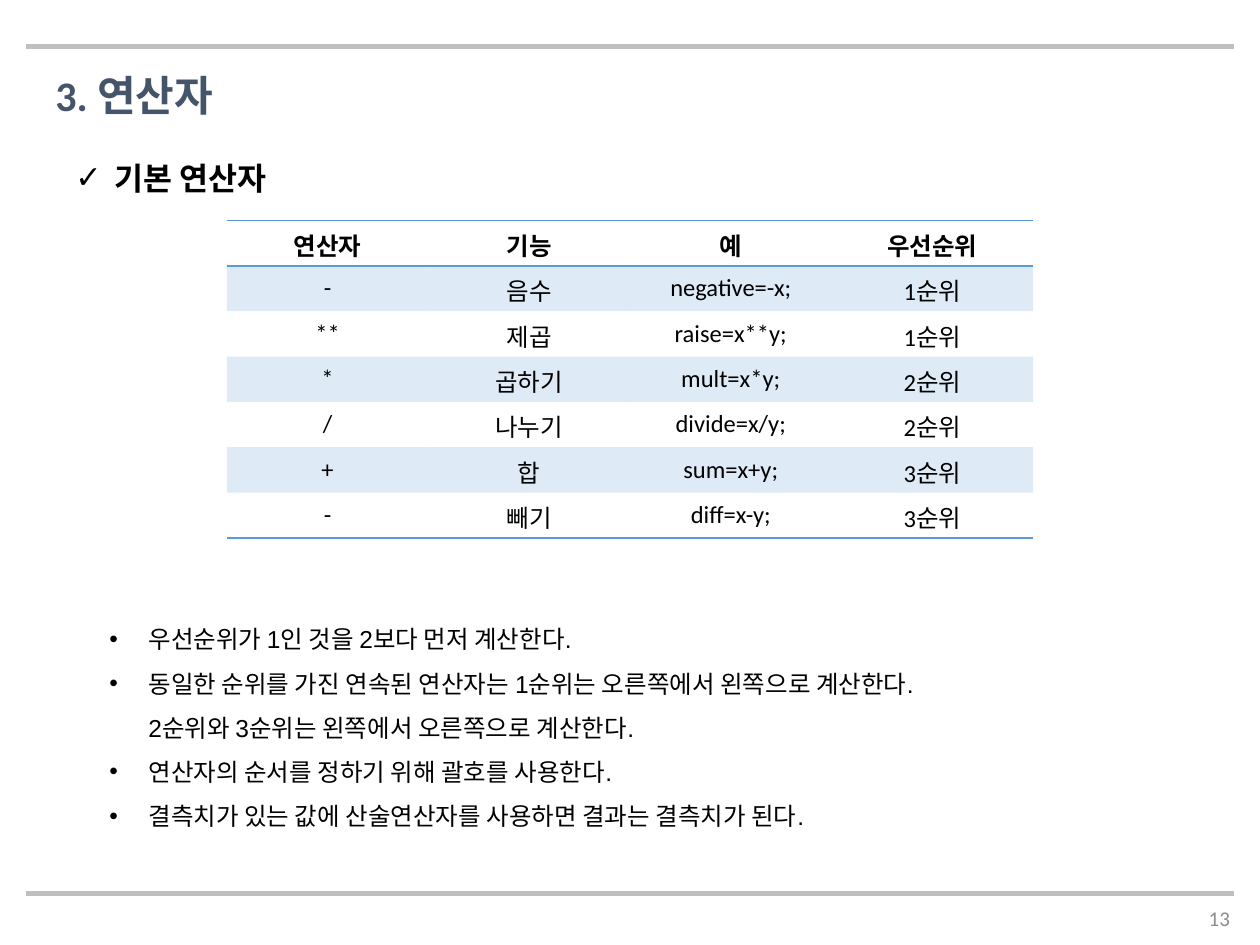
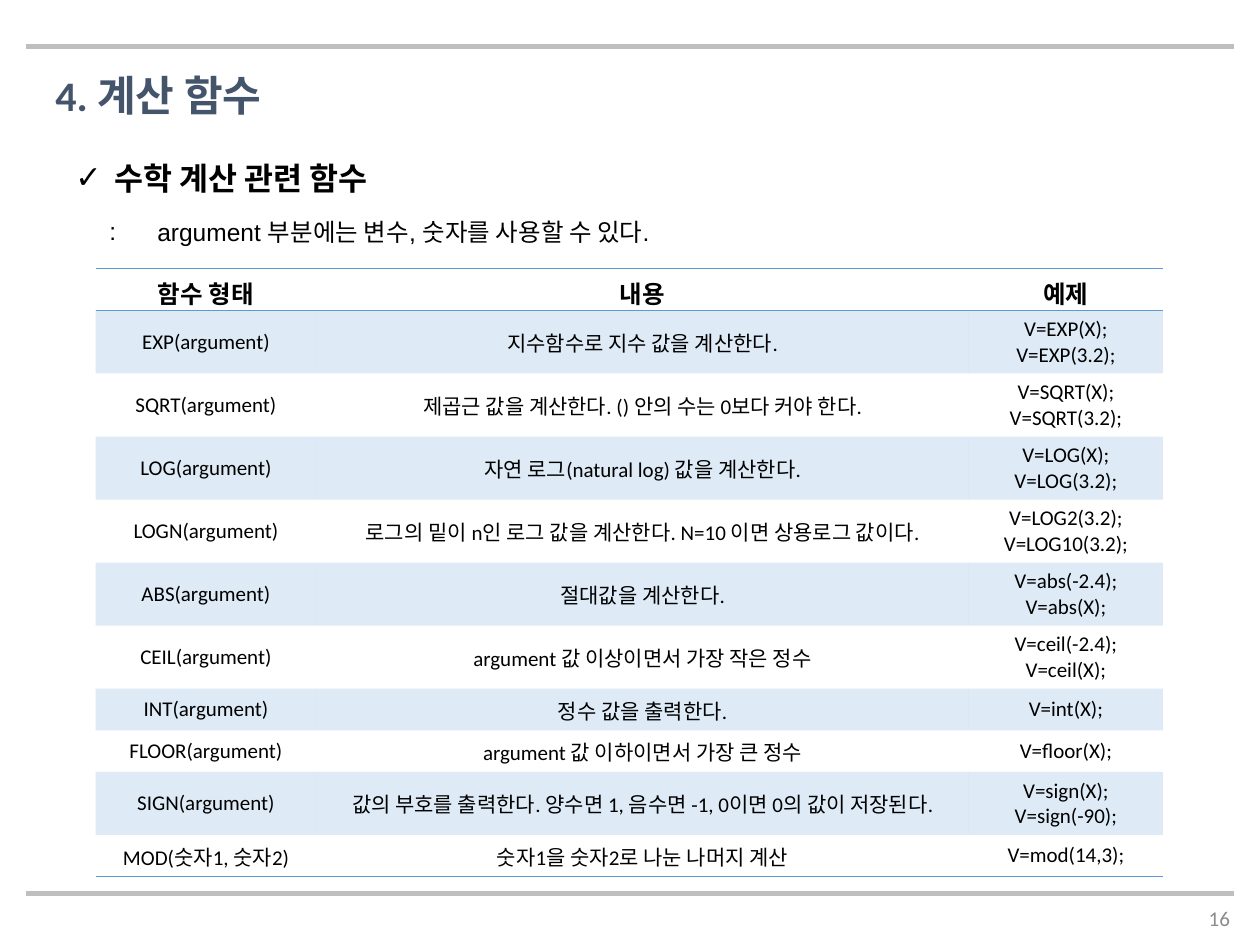
import dataclasses

import pptx
import pptx.dml.color
import pptx.enum.shapes
import pptx.enum.text
import pptx.oxml
import pptx.oxml.ns
import pptx.util

Inches = pptx.util.Inches
Pt = pptx.util.Pt
ALIGN = pptx.enum.text.PP_ALIGN
ANCHOR = pptx.enum.text.MSO_ANCHOR
NAMESPACE = pptx.oxml.ns.nsdecls("a")
PLAIN_TABLE_STYLE = "{2D5ABB26-0587-4C30-8999-92F81FD0307C}"


@dataclasses.dataclass(frozen=True)
class Theme:
    title_color: str = "44546A"
    text_color: str = "000000"
    number_color: str = "8C8C8C"
    rule_color: str = "BFBFBF"
    accent: str = "5B9BD5"
    band_opacity: int = 20
    title_font: str = "Calibri"
    table_font: str = "Calibri"
    body_font: str = "Arial"
    title_size: int = 24
    heading_size: int = 18
    body_size: int = 14
    small_size: int = 12
    rule_width: int = 3
    border_width: int = 1
    line_spacing: float = 1.5


THEME = Theme()

OPERATORS = [
    ["연산자", "기능", "예", "우선순위"],
    ["-", "음수", "negative=-x;", "1순위"],
    ["**", "제곱", "raise=x**y;", "1순위"],
    ["*", "곱하기", "mult=x*y;", "2순위"],
    ["/", "나누기", "divide=x/y;", "2순위"],
    ["+", "합", "sum=x+y;", "3순위"],
    ["-", "빼기", "diff=x-y;", "3순위"],
]

OPERATOR_RULES = [
    "우선순위가 1인 것을 2보다 먼저 계산한다.",
    "동일한 순위를 가진 연속된 연산자는 1순위는 오른쪽에서 왼쪽으로 계산한다.\n"
    "2순위와 3순위는 왼쪽에서 오른쪽으로 계산한다.",
    "연산자의 순서를 정하기 위해 괄호를 사용한다.",
    "결측치가 있는 값에 산술연산자를 사용하면 결과는 결측치가 된다.",
]

FUNCTIONS = [
    ["함수 형태", "내용", "예제"],
    ["EXP(argument)", "지수함수로 지수 값을 계산한다.", "V=EXP(X);\nV=EXP(3.2);"],
    ["SQRT(argument)", "제곱근 값을 계산한다. () 안의 수는 0보다 커야 한다.",
     "V=SQRT(X);\nV=SQRT(3.2);"],
    ["LOG(argument)", "자연 로그(natural log) 값을 계산한다.", "V=LOG(X);\nV=LOG(3.2);"],
    ["LOGN(argument)", "로그의 밑이 n인 로그 값을 계산한다. N=10 이면 상용로그 값이다.",
     "V=LOG2(3.2);\nV=LOG10(3.2);"],
    ["ABS(argument)", "절대값을 계산한다.", "V=abs(-2.4);\nV=abs(X);"],
    ["CEIL(argument)", "argument 값 이상이면서 가장 작은 정수", "V=ceil(-2.4);\nV=ceil(X);"],
    ["INT(argument)", "정수 값을 출력한다.", "V=int(X);"],
    ["FLOOR(argument)", "argument 값 이하이면서 가장 큰 정수", "V=floor(X);"],
    ["SIGN(argument)", "값의 부호를 출력한다. 양수면 1, 음수면 -1, 0이면 0의 값이 저장된다.",
     "V=sign(X);\nV=sign(-90);"],
    ["MOD(숫자1, 숫자2)", "숫자1을 숫자2로 나눈 나머지 계산", "V=mod(14,3);"],
]


def rgb(color):
    return pptx.dml.color.RGBColor.from_string(color)


def add_run(paragraph, text, font, size, color, bold=False):
    run = paragraph.add_run()
    run.text = text
    run.font.name = font
    run.font.size = Pt(size)
    run.font.bold = bold
    run.font.color.rgb = rgb(color)


def add_text_frame(slide, box, grow=True):
    shape = slide.shapes.add_textbox(*map(Inches, box))
    frame = shape.text_frame
    frame.word_wrap = True
    if grow:
        frame.auto_size = pptx.enum.text.MSO_AUTO_SIZE.SHAPE_TO_FIT_TEXT
    return frame


def paragraphs_for(frame, texts):
    """Yield each text with its paragraph, reusing the frame's first one."""
    for index, text in enumerate(texts):
        yield frame.add_paragraph() if index else frame.paragraphs[0], text


def add_list(slide, box, items, bullet, size, indent=0.31, bold=False):
    frame = add_text_frame(slide, box)
    for paragraph, item in paragraphs_for(frame, items):
        paragraph.line_spacing = THEME.line_spacing
        properties = paragraph._p.get_or_add_pPr()
        properties.set("marL", str(Inches(indent)))
        properties.set("indent", str(-Inches(indent)))
        for element in (f'<a:buFont {NAMESPACE} typeface="{THEME.body_font}"/>',
                        f'<a:buChar {NAMESPACE} char="{bullet}"/>'):
            properties.append(pptx.oxml.parse_xml(element))
        for index, line in enumerate(item.split("\n")):
            if index:
                paragraph.add_line_break()
            add_run(paragraph, line, THEME.body_font, size, THEME.text_color, bold)


def add_rule(slide, top):
    left, right = Inches(0.21), Inches(9.79)
    rule = slide.shapes.add_connector(
        pptx.enum.shapes.MSO_CONNECTOR.STRAIGHT, left, Inches(top), right, Inches(top))
    rule.line.color.rgb = rgb(THEME.rule_color)
    rule.line.width = Pt(THEME.rule_width)
    rule._element.spPr.append(pptx.oxml.parse_xml(f"<a:effectLst {NAMESPACE}/>"))


def add_page(presentation, number, title, heading, heading_box):
    """Add a slide with the rules, page number, title and heading all pages share."""
    slide = presentation.slides.add_slide(presentation.slide_layouts[6])
    frame = add_text_frame(slide, (9.41, 7.09, 0.45, 0.4), grow=False)
    frame.vertical_anchor = ANCHOR.MIDDLE
    paragraph = frame.paragraphs[0]
    paragraph.alignment = ALIGN.RIGHT
    add_run(paragraph, str(number), THEME.title_font, THEME.small_size, THEME.number_color)
    for top in (7.09, 0.37):
        add_rule(slide, top)
    frame = add_text_frame(slide, (0.34, 0.5, 6.11, 0.5))
    add_run(frame.paragraphs[0], title, THEME.title_font, THEME.title_size,
            THEME.title_color, bold=True)
    add_list(slide, heading_box, [heading], "✓", THEME.heading_size, bold=True)
    return slide


def add_border(cell, side):
    """Draw an accent border; call before filling the cell, as the schema wants."""
    cell._tc.get_or_add_tcPr().append(pptx.oxml.parse_xml(
        f'<a:ln{side} {NAMESPACE} w="{Pt(THEME.border_width)}"><a:solidFill>'
        f'<a:srgbClr val="{THEME.accent}"/></a:solidFill></a:ln{side}>'))


def fill_cell(cell, banded):
    if not banded:
        cell.fill.background()
        return
    cell.fill.solid()
    cell.fill.fore_color.rgb = rgb(THEME.accent)
    color = cell._tc.tcPr.find(".//" + pptx.oxml.ns.qn("a:solidFill") + "/"
                               + pptx.oxml.ns.qn("a:srgbClr"))
    color.append(pptx.oxml.parse_xml(
        f'<a:alpha {NAMESPACE} val="{THEME.band_opacity * 1000}"/>'))


def add_banded_table(slide, left, top, widths, heights, rows, body_size,
                     header_anchor=ANCHOR.MIDDLE):
    box = map(Inches, (left, top, sum(widths), sum(heights)))
    graphic = slide.shapes.add_table(len(rows), len(widths), *box)
    table = graphic.table
    table.horz_banding = False
    table._tbl.tblPr.find(pptx.oxml.ns.qn("a:tableStyleId")).text = PLAIN_TABLE_STYLE
    for column, width in zip(table.columns, widths):
        column.width = Inches(width)
    for row, height in zip(table.rows, heights):
        row.height = Inches(height)

    for row_index, row in enumerate(rows):
        header = row_index == 0
        for column_index, text in enumerate(row):
            cell = table.cell(row_index, column_index)
            cell.vertical_anchor = header_anchor if header else ANCHOR.MIDDLE
            if header:
                add_border(cell, "T")
            if header or row_index == len(rows) - 1:
                add_border(cell, "B")
            fill_cell(cell, banded=row_index % 2 == 1)
            for paragraph, line in paragraphs_for(cell.text_frame, text.split("\n")):
                paragraph.alignment = ALIGN.CENTER
                add_run(paragraph, line, THEME.table_font,
                        THEME.body_size if header else body_size,
                        THEME.text_color, bold=header)


def build_operator_slide(presentation):
    slide = add_page(presentation, 13, "3. 연산자", "기본 연산자", (0.5, 1.06, 2.1, 0.5))
    add_list(slide, (0.77, 4.79, 8.11, 1.87), OPERATOR_RULES, "•", THEME.body_size)
    add_banded_table(slide, 1.8, 1.75, [1.6] * 4, [0.36] * len(OPERATORS),
                     OPERATORS, THEME.body_size)


def build_function_slide(presentation):
    slide = add_page(presentation, 16, "4. 계산 함수", "수학 계산 관련 함수",
                     (0.5, 1.06, 3.08, 0.56))
    heights = [0.5 if "\n" in row[-1] else 0.33 for row in FUNCTIONS]
    add_banded_table(slide, 0.76, 2.13, [1.75, 5.18, 1.54], heights, FUNCTIONS,
                     THEME.small_size, header_anchor=ANCHOR.TOP)
    add_list(slide, (0.77, 1.56, 8.11, 0.45),
             ["argument 부분에는 변수, 숫자를 사용할 수 있다."], ":",
             THEME.body_size, indent=0.38)


def main():
    presentation = pptx.Presentation()
    presentation.slide_width = Inches(10)
    presentation.slide_height = Inches(7.5)
    build_operator_slide(presentation)
    build_function_slide(presentation)
    presentation.save("out.pptx")


if __name__ == "__main__":
    main()
